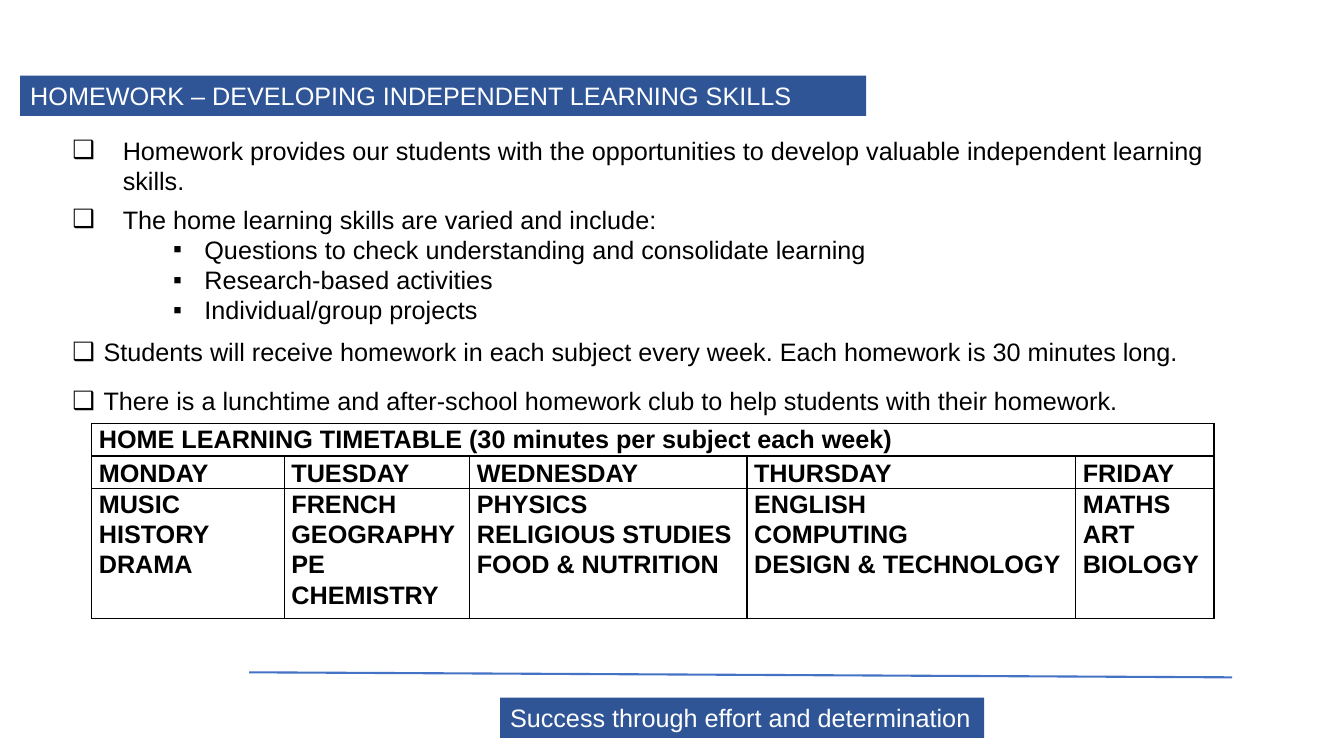
from lxml import etree
from pptx import Presentation
from pptx.dml.color import RGBColor
from pptx.enum.shapes import MSO_CONNECTOR
from pptx.enum.text import MSO_ANCHOR, MSO_AUTO_SIZE, PP_ALIGN
from pptx.oxml.ns import qn
from pptx.util import Inches, Pt

STRAIGHT = MSO_CONNECTOR.STRAIGHT
TOP, MIDDLE = MSO_ANCHOR.TOP, MSO_ANCHOR.MIDDLE
FIXED = MSO_AUTO_SIZE.NONE
LEFT = PP_ALIGN.LEFT

WHITE = RGBColor(0xFF, 0xFF, 0xFF)
BLACK = RGBColor(0x00, 0x00, 0x00)
NAVY = RGBColor(0x2F, 0x55, 0x97)
BLUE = RGBColor(0x44, 0x72, 0xC4)

WIDTH, HEIGHT = Inches(13.33), Inches(7.5)
FONT = "Arial"
SIZE = Pt(18)

CHECKBOX, SQUARE = "❑", "▪"
POINTS = [
    (CHECKBOX, 0.5, 0.5, 0, "Homework provides our students with the opportunities "
     "to develop valuable independent learning skills."),
    (CHECKBOX, 0.5, 0.5, 6, "The home learning skills are varied and include:"),
    (SQUARE, 1.31, 0.31, 0, "Questions to check understanding and consolidate learning"),
    (SQUARE, 1.31, 0.31, 0, "Research-based activities"),
    (SQUARE, 1.31, 0.31, 0, "Individual/group projects"),
    (CHECKBOX, 0.31, 0.31, 8.5, "Students will receive homework in each subject every week. "
     "Each homework is 30 minutes long."),
    (CHECKBOX, 0.31, 0.31, 13, "There is a lunchtime and after-school homework club "
     "to help students with their homework."),
]

TIMETABLE_TITLE = "HOME LEARNING TIMETABLE (30 minutes per subject each week)"
TIMETABLE = {
    "MONDAY": ["MUSIC", "HISTORY", "DRAMA"],
    "TUESDAY": ["FRENCH", "GEOGRAPHY", "PE", "CHEMISTRY"],
    "WEDNESDAY": ["PHYSICS", "RELIGIOUS STUDIES", "FOOD & NUTRITION"],
    "THURSDAY": ["ENGLISH", "COMPUTING", "DESIGN & TECHNOLOGY"],
    "FRIDAY": ["MATHS", "ART", "BIOLOGY"],
}
DAY_WIDTHS = [14.33, 13.8, 20.63, 24.46, 10.28]
ROW_HEIGHTS = [4.33, 4.33, 17.07]


def across(percent):
    return int(WIDTH * percent / 100)


def down(percent):
    return int(HEIGHT * percent / 100)


def area(left, top, width, height):
    return across(left), down(top), across(width), down(height)


def add_span(para, text, color, bold=False):
    span = para.add_run()
    span.text = text
    span.font.name = FONT
    span.font.size = SIZE
    span.font.bold = bold
    span.font.color.rgb = color


def paragraph_at(frame, index):
    return frame.add_paragraph() if index else frame.paragraphs[0]


def fill_bar(bar, place, text):
    bar.left, bar.top, bar.width, bar.height = place
    bar.fill.solid()
    bar.fill.fore_color.rgb = NAVY
    frame = bar.text_frame
    frame.word_wrap = True
    frame.auto_size = FIXED
    frame.vertical_anchor = TOP
    para = frame.paragraphs[0]
    para.alignment = LEFT
    add_span(para, text, WHITE)


def add_rule(page, start, end):
    rule = page.shapes.add_connector(
        STRAIGHT, across(start[0]), down(start[1]), across(end[0]), down(end[1]))
    rule.line.color.rgb = BLUE
    rule.line.width = Pt(1.5)
    etree.SubElement(rule._element.spPr, qn("a:effectLst"))


def set_bullet(para, symbol, margin, hanging):
    properties = para._p.get_or_add_pPr()
    properties.set("marL", str(Inches(margin)))
    properties.set("indent", str(-Inches(hanging)))
    etree.SubElement(properties, qn("a:buFont")).set("typeface", FONT)
    etree.SubElement(properties, qn("a:buChar")).set("char", symbol)


def add_points(page, place):
    frame = page.shapes.add_textbox(*place).text_frame
    frame.word_wrap = True
    for index, (symbol, margin, hanging, gap, text) in enumerate(POINTS):
        para = paragraph_at(frame, index)
        set_bullet(para, symbol, margin, hanging)
        if gap:
            para.space_before = Pt(gap)
        add_span(para, text, BLACK)


def frame_cell(cell):
    properties = cell._tc.get_or_add_tcPr()
    for side in ("a:lnL", "a:lnR", "a:lnT", "a:lnB"):
        border = etree.SubElement(properties, qn(side), w=str(Pt(1)))
        paint = etree.SubElement(border, qn("a:solidFill"))
        etree.SubElement(paint, qn("a:srgbClr"), val=str(BLACK))
    cell.fill.background()
    cell.margin_left = cell.margin_right = Inches(0.07)
    cell.margin_top = cell.margin_bottom = 0


def write_cell(cell, lines, anchor=TOP):
    cell.vertical_anchor = anchor
    for index, text in enumerate(lines):
        para = paragraph_at(cell.text_frame, index)
        para.line_spacing = 1.07
        add_span(para, text, BLACK, bold=True)


def add_timetable(page, left, top):
    place = area(left, top, sum(DAY_WIDTHS), sum(ROW_HEIGHTS))
    table = page.shapes.add_table(len(ROW_HEIGHTS), len(DAY_WIDTHS), *place).table
    table.first_row = False
    table.horz_banding = False
    for column, width in zip(table.columns, DAY_WIDTHS):
        column.width = across(width)
    for row, height in zip(table.rows, ROW_HEIGHTS):
        row.height = down(height)
    for cell in table.iter_cells():
        frame_cell(cell)
    table.cell(0, 0).merge(table.cell(0, len(DAY_WIDTHS) - 1))
    write_cell(table.cell(0, 0), [TIMETABLE_TITLE])
    for index, (day, subjects) in enumerate(TIMETABLE.items()):
        write_cell(table.cell(1, index), [day], MIDDLE)
        write_cell(table.cell(2, index), subjects)


def main():
    deck = Presentation()
    deck.slide_width, deck.slide_height = WIDTH, HEIGHT
    page = deck.slides.add_slide(deck.slide_layouts[5])
    add_rule(page, (18.53, 88.93), (91.67, 89.6))
    motto_place = area(37.21, 92.27, 36.01, 5.33)
    fill_bar(page.shapes.add_textbox(*motto_place), motto_place,
             "Success through effort and determination")
    fill_bar(page.shapes.title, area(1.5, 10, 62.94, 5.33),
             "HOMEWORK – DEVELOPING INDEPENDENT LEARNING SKILLS")
    add_points(page, area(4.65, 17.2, 88.9, 43.47))
    add_timetable(page, 6.83, 56)
    deck.save("out.pptx")


if __name__ == "__main__":
    main()
